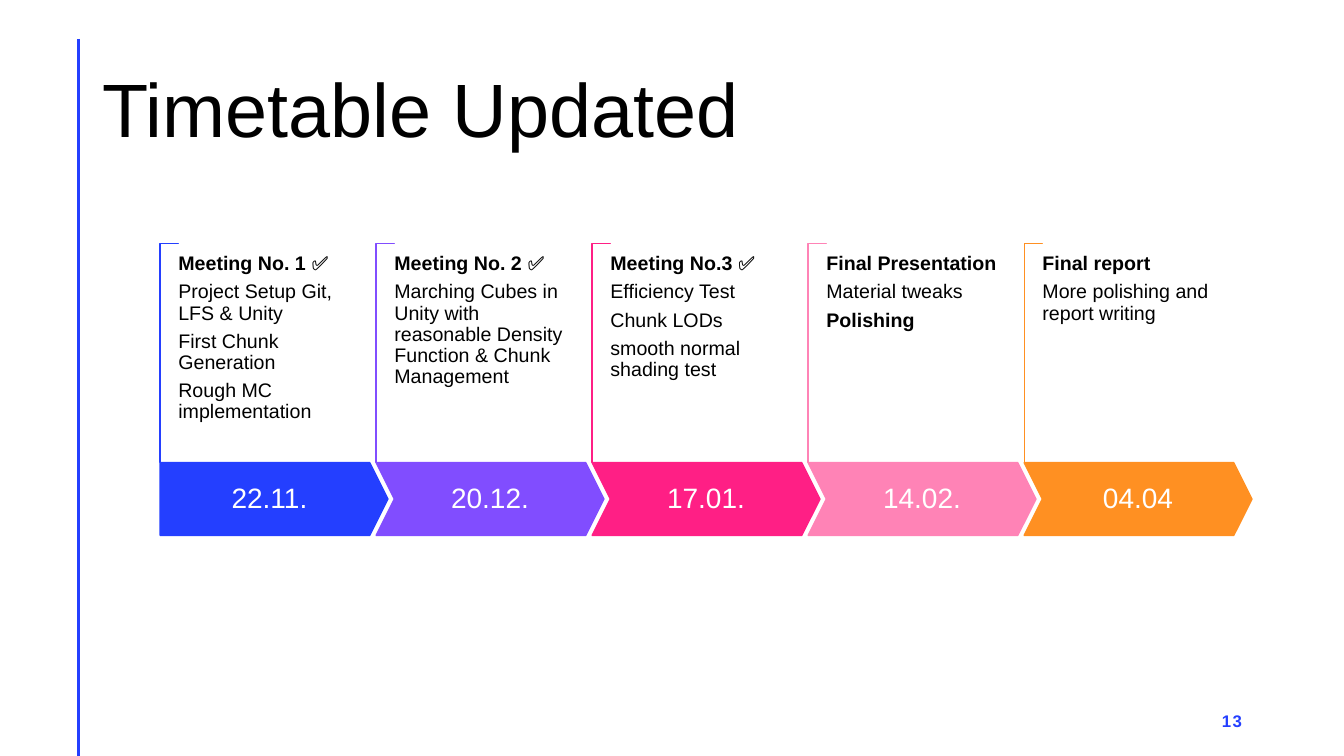
from pptx import Presentation
from pptx.dml.color import RGBColor
from pptx.enum.shapes import MSO_CONNECTOR, MSO_SHAPE
from pptx.enum.text import MSO_ANCHOR, PP_ALIGN
from pptx.oxml.ns import qn
from pptx.util import Pt
from lxml.etree import SubElement

TITLE = "Timetable Updated"
NUMBER = "13"
STEPS = [
    ("22.11.", "243FFF", [
        ("Meeting No. 1 ✅", True),
        ("Project Setup Git, LFS & Unity", False),
        ("First Chunk Generation", False),
        ("Rough MC implementation", False)]),
    ("20.12.", "814DFF", [
        ("Meeting No. 2 ✅", True),
        ("Marching Cubes in Unity with reasonable Density "
         "Function & Chunk Management", False)]),
    ("17.01.", "FF1F85", [
        ("Meeting No.3 ✅", True),
        ("Efficiency Test", False),
        ("Chunk LODs", False),
        ("smooth normal shading test", False)]),
    ("14.02.", "FF83B6", [
        ("Final Presentation", True),
        ("Material tweaks", False),
        ("Polishing", True)]),
    ("04.04", "FF9022", [
        ("Final report", True),
        ("More polishing and report writing", False)]),
]
THEME = {"font": "Arial", "ink": "000000", "paper": "FFFFFF", "accent": "243FFF",
         "title": 54, "date": 20, "body": 14, "number": 12}

LEFT, STEP = 114.4, 154.3
BAR_TOP, BAR_WIDTH, BAR_HEIGHT = 330.5, 162.7, 52
NOTE_TOP, NOTE_WIDTH, NOTE_HEIGHT = 181.4, 132, 111.6
FRAME_TOP, FRAME_HEIGHT, INDENT = 174, 156.2, 13


def color(name):
    return RGBColor.from_string(THEME.get(name, name))


def assign(target, values):
    for key, value in values.items():
        setattr(target, key, value)


def write(shape, lines, size, ink, inset=(0, 0), anchor=MSO_ANCHOR.MIDDLE, **format):
    frame = shape.text_frame
    side, edge = (Pt(value) for value in inset)
    assign(frame, {"word_wrap": True, "vertical_anchor": anchor,
                   "margin_left": side, "margin_right": side,
                   "margin_top": edge, "margin_bottom": edge})
    for index, (text, bold) in enumerate(lines):
        para = frame.paragraphs[0] if index == 0 else frame.add_paragraph()
        assign(para, format)
        run = para.add_run()
        run.text = text
        assign(run.font, {"name": THEME["font"], "size": Pt(THEME[size]), "bold": bold})
        run.font.color.rgb = color(ink)
    return frame


def textbox(slide, *place):
    return slide.shapes.add_textbox(*map(Pt, place))


def draw(slide, kind, place, fill, line, adjust):
    shape = slide.shapes.add_shape(kind, *map(Pt, place))
    shape.shadow.inherit = False
    shape.fill.solid()
    shape.fill.fore_color.rgb = color(fill)
    shape.line.color.rgb = color(line)
    shape.line.width = Pt(1)
    for index, value in enumerate(adjust):
        shape.adjustments[index] = value
    return shape


def add_step(slide, index, date, tint, notes):
    left = LEFT + index * STEP
    place = (left + (INDENT - FRAME_HEIGHT) / 2,
             FRAME_TOP + (FRAME_HEIGHT - INDENT) / 2, FRAME_HEIGHT, INDENT)
    frame = draw(slide, MSO_SHAPE.CORNER, place, "paper", tint, (0.01, 0.01))
    frame.rotation = 90

    kind = MSO_SHAPE.CHEVRON if index else MSO_SHAPE.PENTAGON
    bar = draw(slide, kind, (left, BAR_TOP, BAR_WIDTH, BAR_HEIGHT), tint, tint, (0.25,))
    write(bar, [(date, False)], "date", "paper", alignment=PP_ALIGN.CENTER, line_spacing=0.9)

    box = textbox(slide, left + INDENT, NOTE_TOP, NOTE_WIDTH, NOTE_HEIGHT)
    write(box, notes, "body", "ink", anchor=MSO_ANCHOR.TOP,
          line_spacing=0.9, space_after=Pt(4.9))


def main():
    deck = Presentation()
    assign(deck, {"slide_width": Pt(960), "slide_height": Pt(540)})
    slide = deck.slides.add_slide(deck.slide_layouts[6])

    rule = slide.shapes.add_connector(MSO_CONNECTOR.STRAIGHT, *map(Pt, (56.2, 27.8, 56.2, 540)))
    rule.line.color.rgb = color("accent")
    rule.line.width = Pt(2)
    SubElement(rule.element.spPr, qn("a:effectLst"))

    title = textbox(slide, 66.2, 28.8, 828, 104.4)
    write(title, [(TITLE, False)], "title", "ink", (7.2, 3.6), line_spacing=0.9)

    for index, step in enumerate(STEPS):
        add_step(slide, index, *step)

    number = textbox(slide, 678.2, 500.4, 216, 28.8)
    frame = write(number, [(NUMBER, True)], "number", "accent", (7.2, 3.6),
                  alignment=PP_ALIGN.RIGHT, space_after=Pt(6))
    frame.paragraphs[0].runs[0].font._element.set("spc", "100")

    deck.save("out.pptx")


if __name__ == "__main__":
    main()
